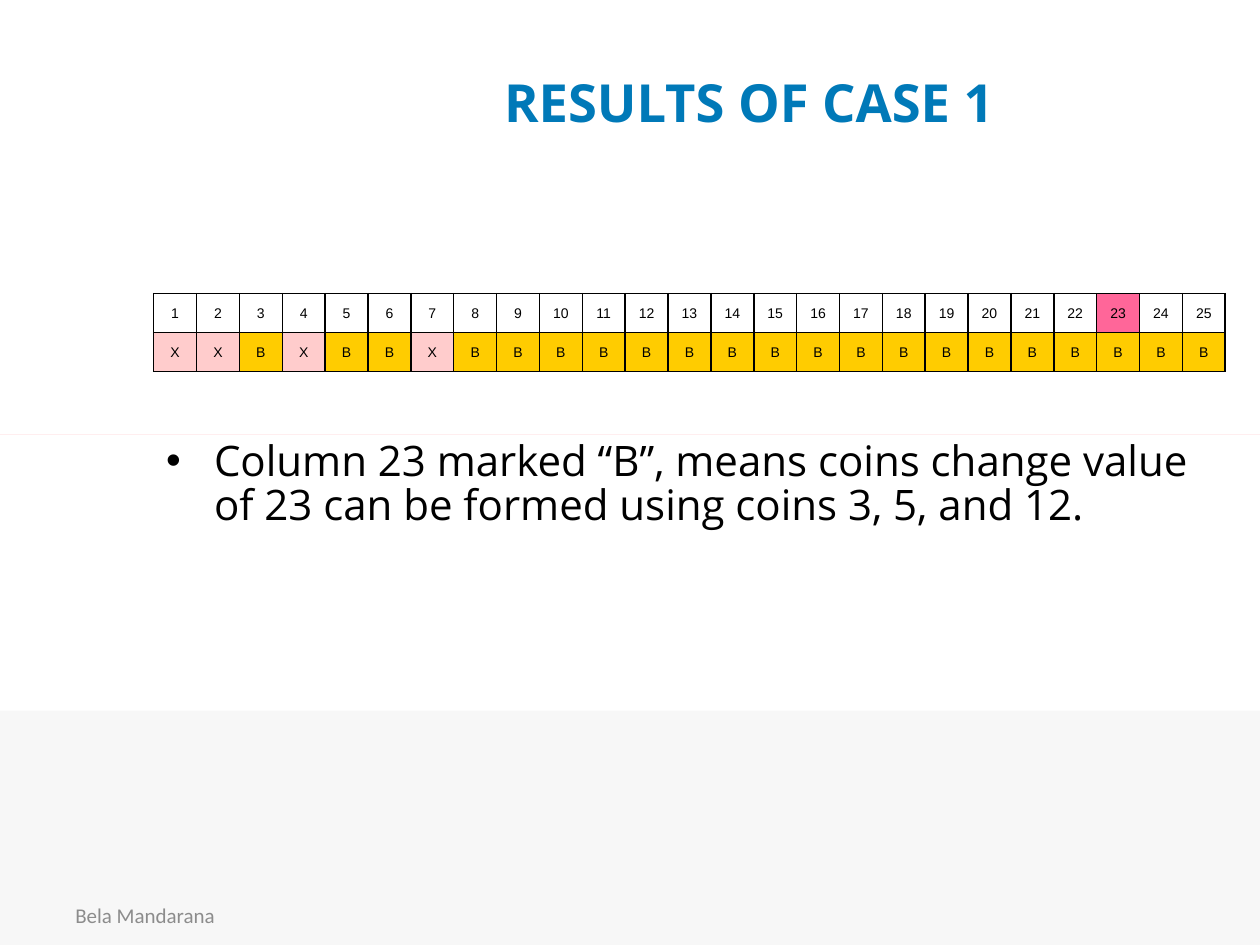
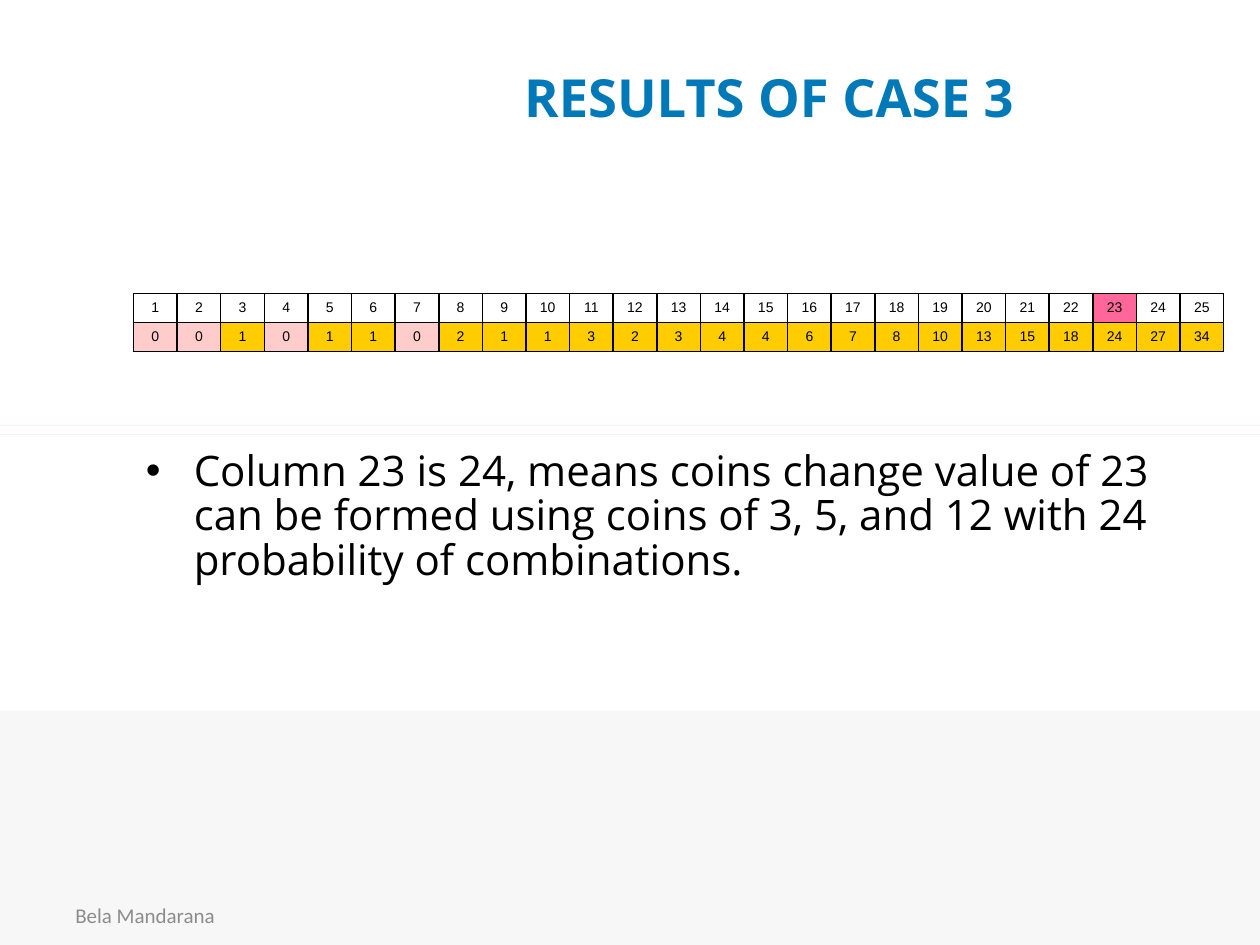
from lxml import etree
from pptx import Presentation
from pptx import util as u
from pptx.dml.color import RGBColor
from pptx.enum import shapes, text
from pptx.oxml import parse_xml
from pptx.oxml.ns import nsdecls, qn

COLOURS = {
    "title": "0079B8", "body": "000000", "footer": "8C8C8C", "band": "F7F7F7",
    "rule": "FF7C80", "plain": "FFFFFF", "target": "FF6699",
    "impossible": "FFCCCC", "possible": "FFCC00", "border": "000000",
}
FOOTER = "Bela Mandarana"
TARGET = 23
TABLE_TOP = 2.33

cases = [
    {
        "title": "RESULTS OF CASE 1", "title_at": (1.22, 0.49),
        "results": "X X B X B B X".split() + ["B"] * 18,
        "left": 1.22, "width": 8.51, "row_height": 0.31,
        "conclusion": "Column 23 marked “B”, means coins change value of 23 "
                      "can be formed using coins 3, 5, and 12.",
        "conclusion_top": 3.45, "rules": [3.45],
    },
    {
        "title": "RESULTS OF CASE 3", "title_at": (1.38, 0.45),
        "results": "0 0 1 0 1 1 0 2 1 1 3 2 3 4 4 6 7 8 10 13 15 18 24 27 34".split(),
        "left": 1.06, "width": 8.66, "row_height": 0.23,
        "conclusion": "Column 23 is 24, means coins change value of 23 can be formed "
                      "using coins of 3, 5, and 12 with 24 probability of combinations.",
        "conclusion_top": 3.53, "rules": [3.45, 3.38],
    },
]


def write(frame, words, font, size, colour, bold=False):
    """Fill a text frame with one formatted paragraph and return it."""
    frame.text = words
    frame.word_wrap = True
    paragraph = frame.paragraphs[0]
    style = paragraph.runs[0].font
    style.name, style.size, style.bold = font, u.Pt(size), bold
    style.color.rgb = RGBColor.from_string(COLOURS[colour])
    return paragraph


def add_bar(slide, top, height, colour):
    """Add a full-width bar without outline; zero height gives a hairline."""
    bar = slide.shapes.add_shape(shapes.MSO_SHAPE.RECTANGLE, 0, u.Inches(top),
                                 u.Inches(10), u.Inches(height))
    bar.shadow.inherit = False
    bar.fill.solid()
    bar.fill.fore_color.rgb = RGBColor.from_string(COLOURS[colour])
    bar.line.fill.background()


deck = Presentation()
deck.slide_width, deck.slide_height = u.Inches(10), u.Inches(7.5)

for case in cases:
    slide = deck.slides.add_slide(deck.slide_layouts[6])
    add_bar(slide, 5.64, 1.86, "band")

    footer = slide.shapes.add_textbox(u.Inches(0.5), u.Inches(7.06),
                                      u.Inches(2.33), u.Inches(0.4)).text_frame
    footer.vertical_anchor = text.MSO_ANCHOR.MIDDLE
    write(footer, FOOTER, "Calibri", 12, "footer")

    title_left, title_top = case["title_at"]
    title = slide.shapes.add_textbox(u.Inches(title_left), u.Inches(title_top),
                                     u.Inches(9.45), u.Inches(0.63)).text_frame
    title.vertical_anchor = text.MSO_ANCHOR.MIDDLE
    heading = write(title, case["title"], "Open Sans", 30, "title", bold=True)
    heading.alignment = text.PP_ALIGN.CENTER

    left, width = u.Inches(case["left"]), u.Inches(case["width"])
    conclusion = slide.shapes.add_textbox(left, u.Inches(case["conclusion_top"]),
                                          width, u.Inches(2.56)).text_frame
    point = write(conclusion, case["conclusion"], "Open Sans", 24, "body")
    point.line_spacing = 0.88
    point.space_before = u.Pt(2.4)
    bullet = point._p.get_or_add_pPr()
    bullet.set("marL", str(u.Inches(0.38)))
    bullet.set("indent", str(-u.Inches(0.38)))
    etree.SubElement(bullet, qn("a:buFont")).set("typeface", "Arial")
    etree.SubElement(bullet, qn("a:buChar")).set("char", "•")

    for rule_top in case["rules"]:
        add_bar(slide, rule_top, 0, "rule")

    results = case["results"]
    row_height = u.Inches(case["row_height"])
    grid = slide.shapes.add_table(2, len(results), left, u.Inches(TABLE_TOP),
                                  width, 2 * row_height).table
    grid.first_row = grid.horz_banding = False
    for row in grid.rows:
        row.height = row_height
    for index, result in enumerate(results):
        grid.columns[index].width = width // len(results)
        value = index + 1
        value_fill = "target" if value == TARGET else "plain"
        result_fill = "impossible" if result in ("X", "0") else "possible"
        entries = [(str(value), value_fill), (result, result_fill)]
        for row_index, (entry, fill) in enumerate(entries):
            cell = grid.cell(row_index, index)
            cell.margin_left = cell.margin_right = 0
            cell.margin_top = cell.margin_bottom = 0
            cell.vertical_anchor = text.MSO_ANCHOR.MIDDLE
            label = write(cell.text_frame, entry, "Arial", 8, "body")
            label.alignment = text.PP_ALIGN.CENTER
            cell.fill.solid()
            cell.fill.fore_color.rgb = RGBColor.from_string(COLOURS[fill])
            for position, side in enumerate("LRTB"):
                cell._tc.tcPr.insert(position, parse_xml(
                    f'<a:ln{side} {nsdecls("a")} w="{u.Pt(1)}"><a:solidFill>'
                    f'<a:srgbClr val="{COLOURS["border"]}"/></a:solidFill></a:ln{side}>'))

deck.save("out.pptx")
